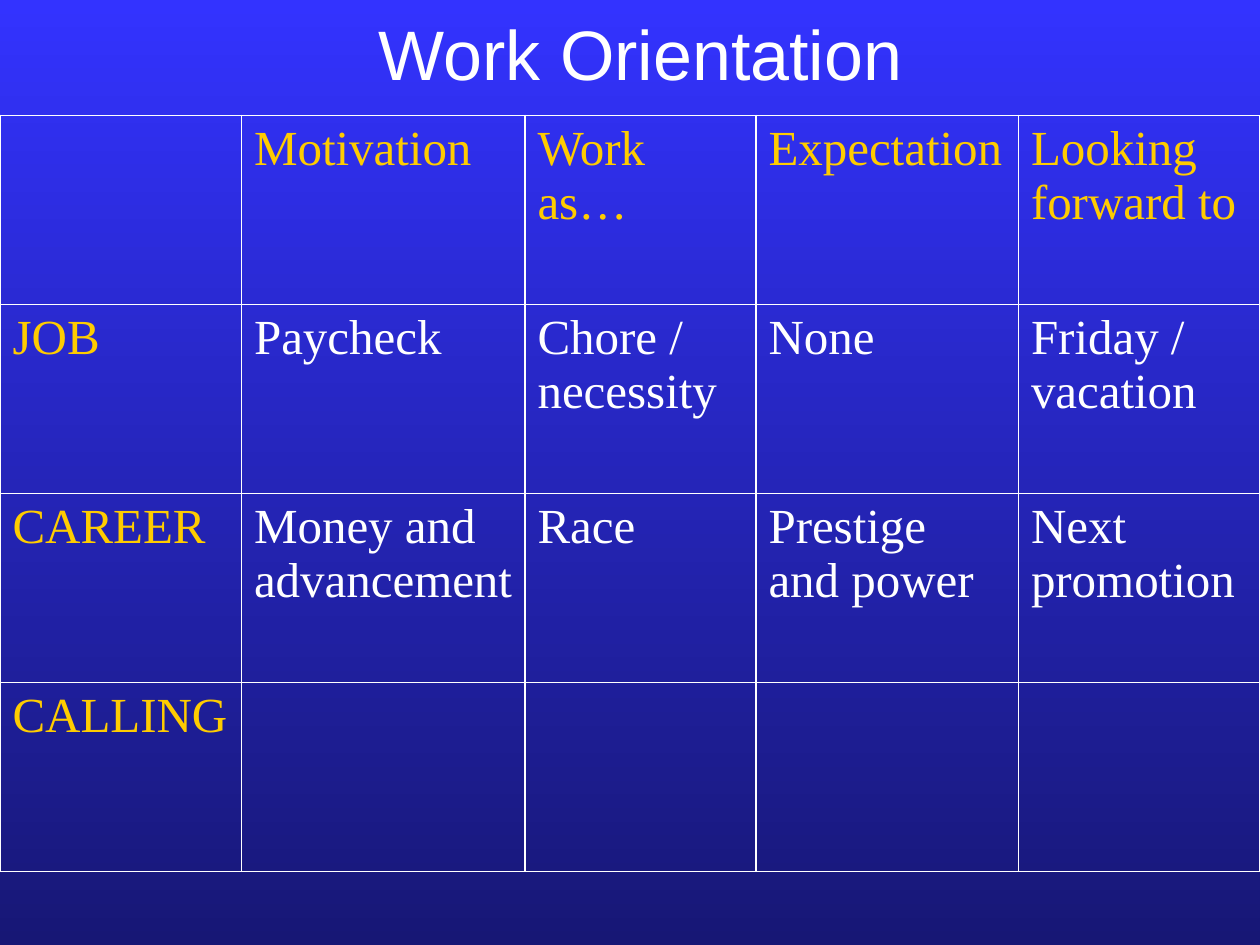
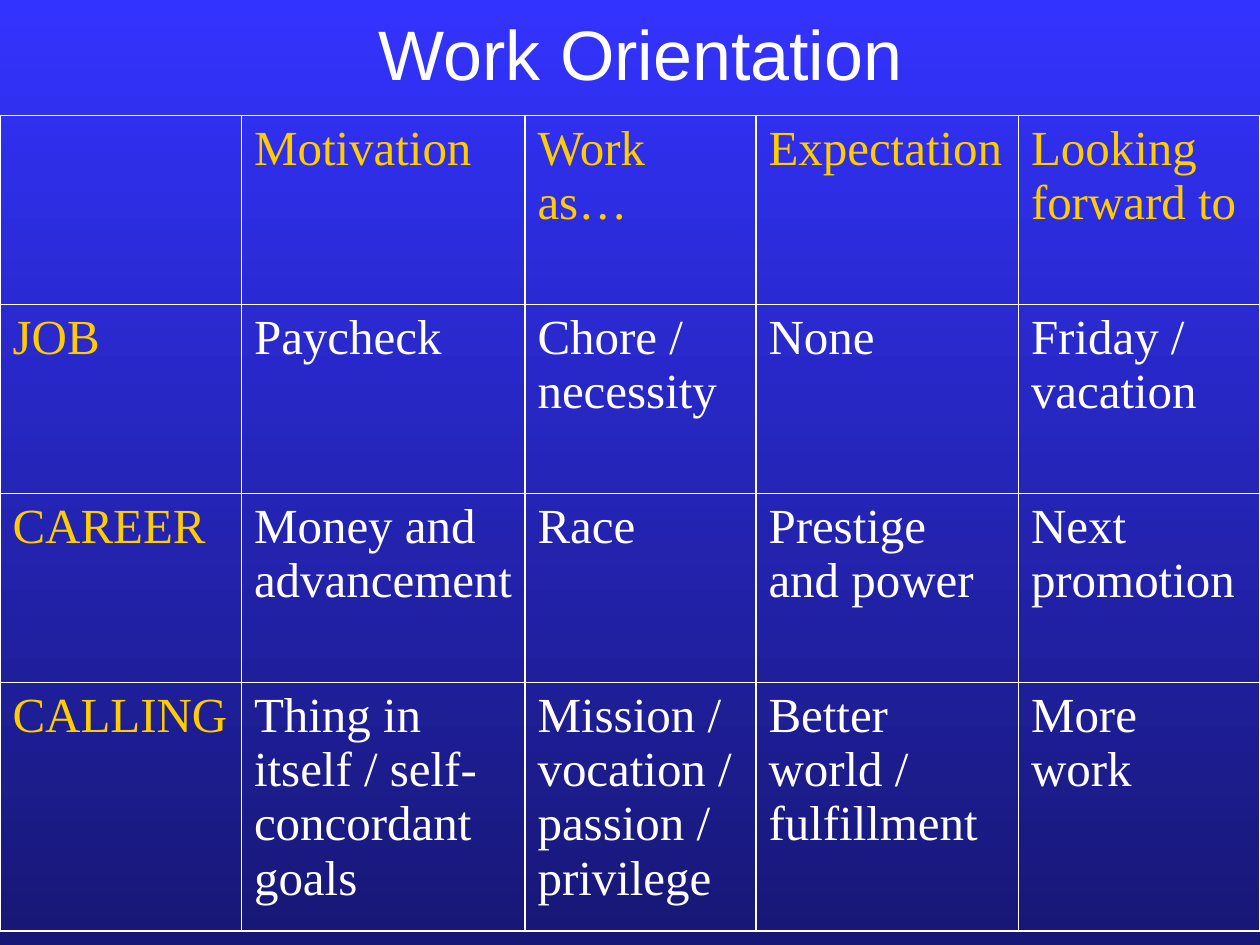
from dataclasses import dataclass

from lxml import etree
from pptx import Presentation
from pptx.dml.color import RGBColor
from pptx.enum.text import MSO_ANCHOR, PP_ALIGN
from pptx.oxml.ns import qn
from pptx.presentation import Presentation as Deck
from pptx.slide import Slide
from pptx.table import _Cell as Cell
from pptx.text.text import TextFrame
from pptx.util import Pt

MIDDLE, LEFT, CENTER = MSO_ANCHOR.MIDDLE, PP_ALIGN.LEFT, PP_ALIGN.CENTER

WHITE = RGBColor(0xFF, 0xFF, 0xFF)
GOLD = RGBColor(0xFF, 0xCC, 0x00)
BLUE = RGBColor(0x33, 0x33, 0xFF)
NAVY = RGBColor(0x17, 0x17, 0x75)

COLS = (138, 162, 132, 150, 138)
ROW = 108
TABLE_TOP = 66
LINE = 1.08

HEAD = ("", "Motivation", "Work as…", "Expectation", "Looking forward to")
JOB = ("JOB", "Paycheck", "Chore / necessity", "None", "Friday / vacation")
CAREER = ("CAREER", "Money and advancement", "Race",
          "Prestige and power", "Next promotion")
OPEN = ("CALLING", "", "", "", "")
CALLING = ("CALLING", "Thing in itself / self-concordant goals",
           "Mission / vocation / passion / privilege",
           "Better world / fulfillment", "More work")


@dataclass(frozen=True)
class Page:
    title: str
    last: tuple[str, ...]
    depth: float  # height of the last row


PAGES = (
    Page("Work Orientation", OPEN, ROW),
    Page("Work Orientation", CALLING, 142),
)


def write(frame: TextFrame, text: str, *, font: str = "Times New Roman",
          size: float = 28, color: RGBColor = WHITE,
          align: PP_ALIGN = LEFT, before: float = 7) -> None:
    frame.word_wrap = True
    para = frame.paragraphs[0]
    para.alignment = align
    para.space_before = Pt(before)
    run = para.add_run()
    run.text = text
    run.font.name = font
    run.font.size = Pt(size)
    run.font.color.rgb = color


def paint(deck: Deck) -> None:
    """Give every slide the gradient, through the master."""
    fill = deck.slide_master.background.fill
    fill.gradient()
    fill.gradient_angle = 270
    for stop, color in zip(fill.gradient_stops, (BLUE, NAVY)):
        stop.color.rgb = color


def frame_cell(cell: Cell) -> None:
    """Outline a cell on all four sides and leave it unfilled."""
    props = cell._tc.get_or_add_tcPr()
    for side in ("a:lnL", "a:lnR", "a:lnT", "a:lnB"):
        line = etree.SubElement(props, qn(side), w=str(Pt(LINE)))
        solid = etree.SubElement(line, qn("a:solidFill"))
        etree.SubElement(solid, qn("a:srgbClr"), val=str(WHITE))
    cell.fill.background()


def add_title(slide: Slide, text: str) -> None:
    box = slide.shapes.add_textbox(Pt(54), Pt(6), Pt(624), Pt(48))
    box.text_frame.vertical_anchor = MIDDLE
    write(box.text_frame, text, font="Arial", size=40, align=CENTER, before=0)


def add_grid(slide: Slide, page: Page) -> None:
    rows = (HEAD, JOB, CAREER, page.last)
    depths = (ROW, ROW, ROW, page.depth)
    table = slide.shapes.add_table(
        len(rows), len(COLS), Pt(0), Pt(TABLE_TOP),
        Pt(sum(COLS)), Pt(sum(depths))).table
    table.first_row = table.horz_banding = False
    for col, width in zip(table.columns, COLS):
        col.width = Pt(width)
    for row, depth in zip(table.rows, depths):
        row.height = Pt(depth)
    for r, words in enumerate(rows):
        for c, text in enumerate(words):
            cell = table.cell(r, c)
            frame_cell(cell)
            if text:
                label = r == 0 or c == 0
                write(cell.text_frame, text, color=GOLD if label else WHITE)


def main() -> None:
    deck = Presentation()
    deck.slide_width, deck.slide_height = Pt(720), Pt(540)
    paint(deck)
    for page in PAGES:
        slide = deck.slides.add_slide(deck.slide_layouts[6])
        add_title(slide, page.title)
        add_grid(slide, page)
    deck.save("out.pptx")


if __name__ == "__main__":
    main()
